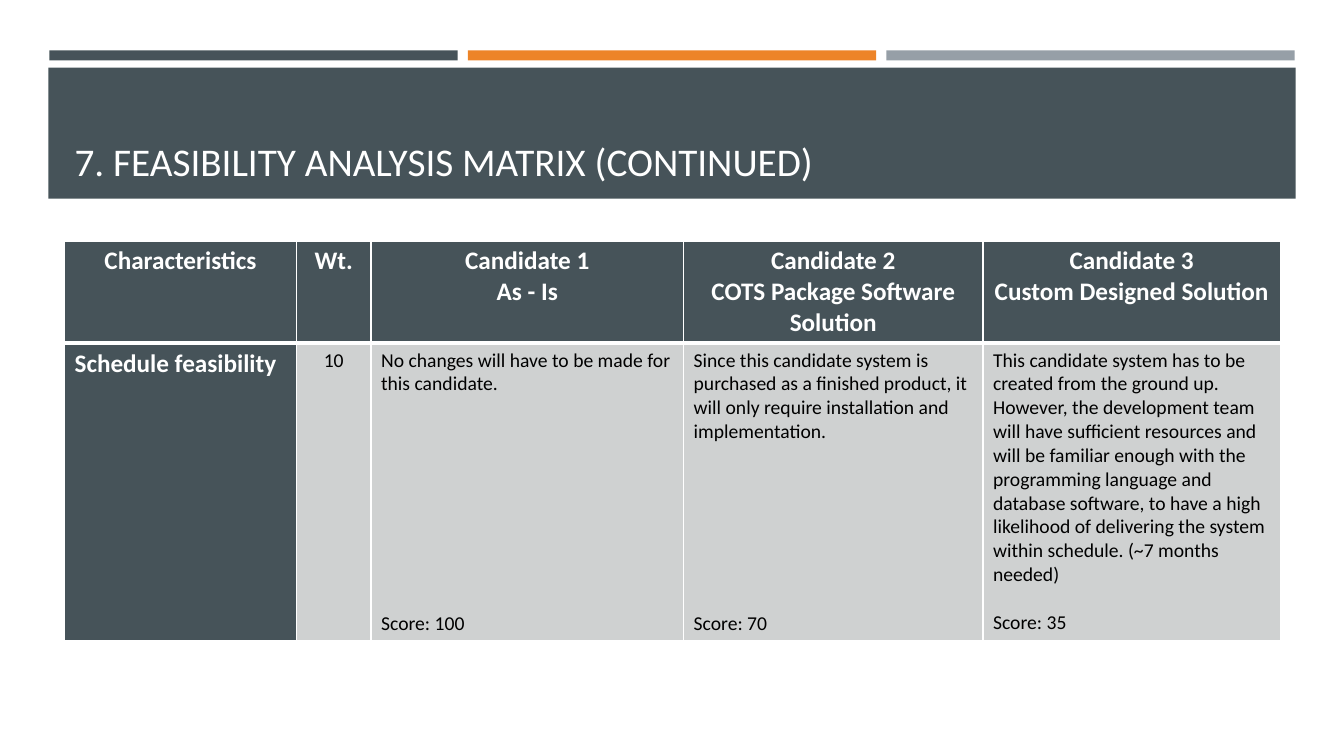
"""Build the feasibility matrix slide with its schedule criterion."""
from dataclasses import dataclass

from lxml.etree import SubElement
from pptx import Presentation
from pptx.dml.color import RGBColor
from pptx.enum.shapes import MSO_SHAPE
from pptx.enum.text import MSO_ANCHOR, PP_ALIGN
from pptx.oxml.ns import qn
from pptx.util import Inches, Pt


@dataclass(frozen=True)
class Theme:
    font: str = "Calibri"
    slate: str = "465359"
    orange: str = "ED8428"
    grey: str = "969FA7"
    pale: str = "CFD1D1"
    white: str = "FFFFFF"
    black: str = "000000"
    title_size: int = 28
    heading_size: int = 18
    body_size: int = 14
    body_line: float = 17.1


class MatrixSlide:
    def __init__(self, deck, theme):
        self.theme = theme
        self.slide = deck.slides.add_slide(deck.slide_layouts[5])

    def format_paragraph(self, paragraph, size, color, bold=False, align=PP_ALIGN.LEFT):
        paragraph.alignment = align
        style = {"name": self.theme.font, "size": Pt(size), "bold": bold}
        for run in paragraph.runs:
            for attribute, value in style.items():
                setattr(run.font, attribute, value)
            run.font.color.rgb = RGBColor.from_string(color)

    def bar(self, left, top, width, height, color):
        bar = self.slide.shapes.add_shape(
            MSO_SHAPE.RECTANGLE, *map(Inches, (left, top, width, height)))
        bar.shadow.inherit = False
        bar.fill.solid()
        bar.fill.fore_color.rgb = RGBColor.from_string(color)
        bar.line.fill.background()
        return bar

    def title(self, text, band, left, top, width, height):
        title = self.slide.shapes.title
        band.element.addnext(title.element)
        place = {"left": left, "top": top, "width": width, "height": height}
        for attribute, value in place.items():
            setattr(title, attribute, Inches(value))
        title.text_frame.text = text
        title.text_frame.vertical_anchor = MSO_ANCHOR.BOTTOM
        self.format_paragraph(title.text_frame.paragraphs[0],
                              self.theme.title_size, self.theme.white)

    def borders(self, cell, bottom):
        properties = cell._tc.get_or_add_tcPr()
        widths = {"a:lnL": 1, "a:lnR": 1, "a:lnT": 1, "a:lnB": bottom}
        for position, (side, width) in enumerate(widths.items()):
            line = SubElement(properties, qn(side), w=str(Pt(width)))
            color = SubElement(SubElement(line, qn("a:solidFill")), qn("a:srgbClr"))
            color.set("val", self.theme.white)
            properties.insert(position, line)

    def cell(self, cell, lines, fill, bottom, gap=0, **text_style):
        cell.text = "\n".join(lines)
        cell.fill.solid()
        cell.fill.fore_color.rgb = RGBColor.from_string(fill)
        self.borders(cell, bottom)
        for paragraph in cell.text_frame.paragraphs:
            self.format_paragraph(paragraph, **text_style)
        if gap:
            cell.text_frame.paragraphs[-1].space_before = Pt(gap * self.theme.body_line)

    def matrix(self, left, top, widths, heights, headings, criterion, weight, candidates):
        theme = self.theme
        table = self.slide.shapes.add_table(
            len(heights), len(widths), Inches(left), Inches(top),
            Inches(sum(widths)), Inches(sum(heights))).table
        for column, width in zip(table.columns, widths):
            column.width = Inches(width)
        for row, height in zip(table.rows, heights):
            row.height = Inches(height)
        heading = {"size": theme.heading_size, "color": theme.white, "bold": True}
        body = {"size": theme.body_size, "color": theme.black}
        for column, lines in enumerate(headings):
            self.cell(table.cell(0, column), lines, theme.slate, 3,
                      align=PP_ALIGN.CENTER, **heading)
        self.cell(table.cell(1, 0), [criterion], theme.slate, 1, **heading)
        self.cell(table.cell(1, 1), [weight], theme.pale, 1,
                  align=PP_ALIGN.CENTER, **body)
        for column, (assessment, score, gap) in enumerate(candidates, start=2):
            self.cell(table.cell(1, column), [assessment, f"Score: {score}"],
                      theme.pale, 1, gap=gap, **body)


def main():
    deck = Presentation()
    deck.slide_width, deck.slide_height = Inches(13.33), Inches(7.5)
    theme = Theme()
    page = MatrixSlide(deck, theme)
    for index, color in enumerate((theme.slate, theme.orange, theme.grey)):
        page.bar(0.49 + index * 4.15, 0.5, 4.05, 0.1, color)
    band = page.bar(0.48, 0.67, 12.37, 1.3, theme.slate)
    page.title("7. FEASIBILITY ANALYSIS MATRIX (CONTINUED)", band, 0.64, 0.77, 12.06, 1.11)
    page.matrix(
        0.64, 2.39, (2.3, 0.74, 3.1, 2.97, 2.95), (1.01, 2.94),
        headings=(
            ["Characteristics"],
            ["Wt."],
            ["Candidate 1", "As - Is"],
            ["Candidate 2", "COTS Package Software Solution"],
            ["Candidate 3", "Custom Designed Solution"],
        ),
        criterion="Schedule feasibility",
        weight="10",
        candidates=(
            ("No changes will have to be made for this candidate.", 100, 9),
            ("Since this candidate system is purchased as a finished product, it will "
             "only require installation and implementation.", 70, 7),
            ("This candidate system has to be created from the ground up. However, the "
             "development team will have sufficient resources and will be familiar enough "
             "with the programming language and database software, to have a high "
             "likelihood of delivering the system within schedule. (~7 months needed)",
             35, 1),
        ),
    )
    deck.save("out.pptx")


if __name__ == "__main__":
    main()
